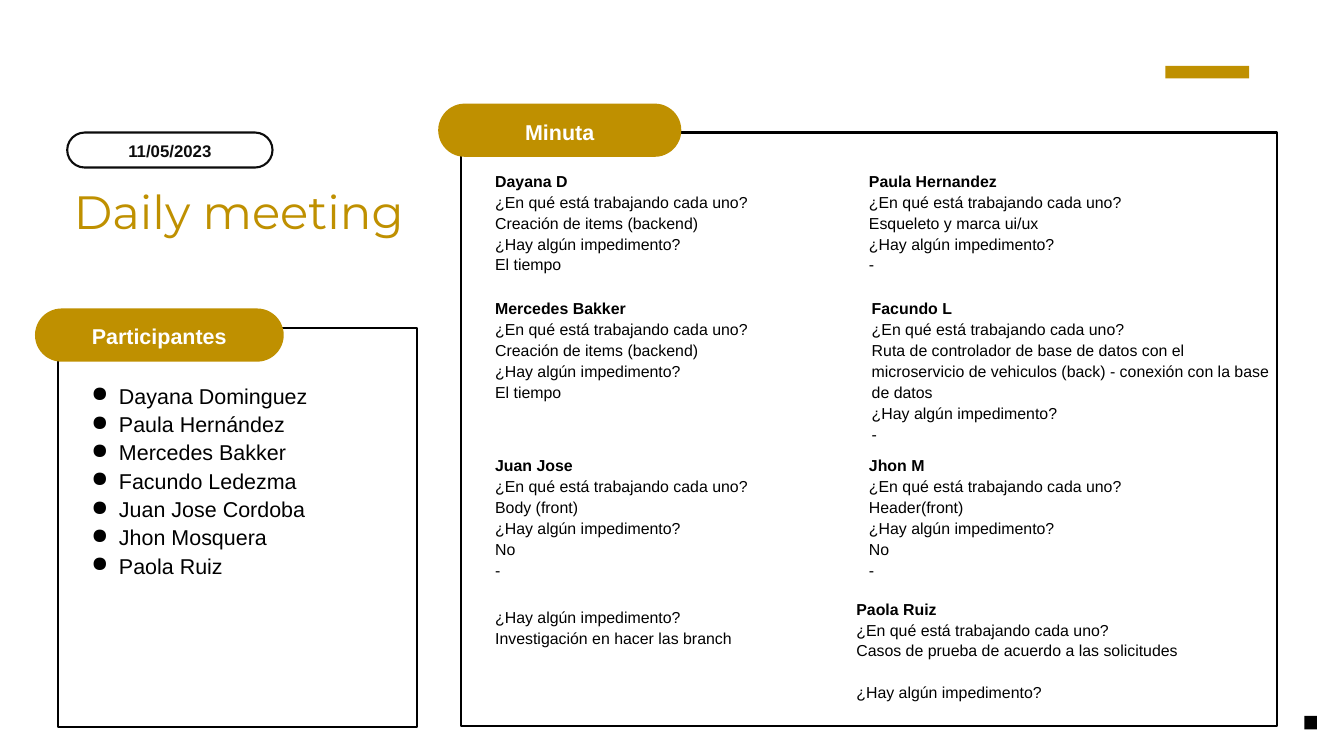
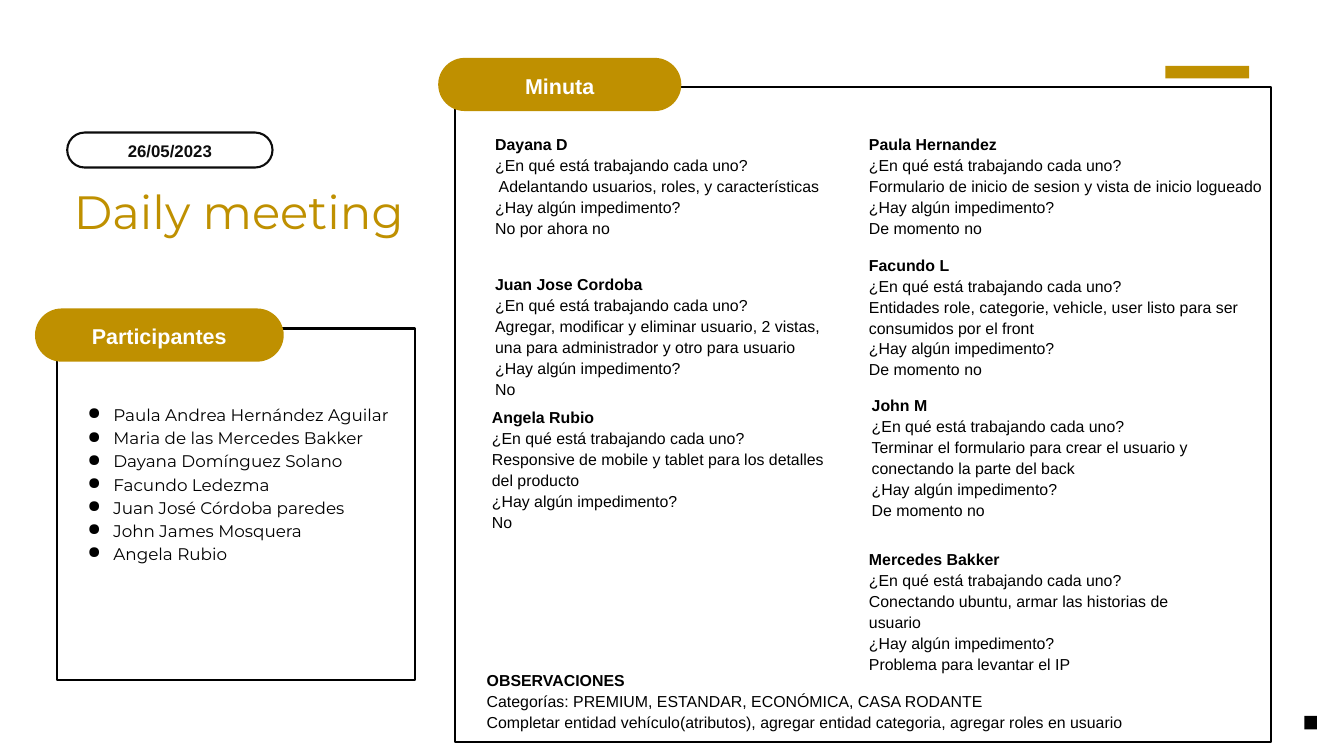
from dataclasses import dataclass

from lxml import etree
from pptx import Presentation
from pptx.dml.color import RGBColor
from pptx.enum.shapes import MSO_SHAPE
from pptx.enum.text import MSO_ANCHOR, MSO_AUTO_SIZE, PP_ALIGN
from pptx.oxml.ns import qn
from pptx.util import Pt

RECTANGLE = MSO_SHAPE.RECTANGLE
PILL = MSO_SHAPE.ROUNDED_RECTANGLE
MIDDLE = MSO_ANCHOR.MIDDLE
FIT_TEXT = MSO_AUTO_SIZE.SHAPE_TO_FIT_TEXT
FIXED_SIZE = MSO_AUTO_SIZE.NONE
CENTER = PP_ALIGN.CENTER
LEFT = PP_ALIGN.LEFT

WORKING_ON = "¿En qué está trabajando cada uno?"
BLOCKED_BY = "¿Hay algún impedimento?"
LEFT_COLUMN, RIGHT_COLUMN = 530.5, 931
NOTE_WIDTH, WIDE_NOTE = 378.5, 427.5


@dataclass(frozen=True)
class Theme:
    gold: RGBColor = RGBColor(0xBF, 0x90, 0x00)
    black: RGBColor = RGBColor(0, 0, 0)
    ink: RGBColor = RGBColor(0x0C, 0x0C, 0x0C)
    white: RGBColor = RGBColor(0xFF, 0xFF, 0xFF)
    body_font: str = "Arial"
    title_font: str = "Montserrat"
    title_size: float = 50
    heading_size: float = 23
    date_size: float = 18
    note_size: float = 17
    outline: float = 2.25
    spacing: float = 1.1
    note_line: float = 21.5


class MeetingDeck:
    def __init__(self, theme):
        self.theme = theme
        self.deck = Presentation()
        self.deck.slide_width, self.deck.slide_height = Pt(1440), Pt(810)
        self.slide = None

    def start_slide(self, date):
        theme = self.theme
        self.slide = self.deck.slides.add_slide(self.deck.slide_layouts[6])
        self.shape(RECTANGLE, (1397.5, 767, 13.5, 14.5), fill=theme.black)
        title = self.text((72, 196, 384, 60), ["Daily meeting"], theme.title_size,
                          theme.gold, theme.title_font, spacing=1.0, inset=7.2)
        title.auto_size = FIXED_SIZE
        title.vertical_anchor = MIDDLE
        self.pill((72, 142, 220, 37.5), date, theme.date_size,
                  theme.white, theme.ink, theme.ink)
        self.shape(RECTANGLE, (1248.5, 70.5, 90, 13.5), fill=theme.gold)

    def shape(self, kind, box, fill=None, line=None):
        shape = self.slide.shapes.add_shape(kind, *map(Pt, box))
        shape.shadow.inherit = False
        if fill is None:
            shape.fill.background()
        else:
            shape.fill.solid()
            shape.fill.fore_color.rgb = fill
        if line is None:
            shape.line.fill.background()
        else:
            shape.line.color.rgb = line
            shape.line.width = Pt(self.theme.outline)
        return shape

    def fill_frame(self, frame, lines, size, color, font, spacing, inset, align=LEFT):
        frame.word_wrap = True
        frame.margin_left = frame.margin_right = Pt(inset)
        frame.margin_top = frame.margin_bottom = Pt(inset)
        frame.text = "\n".join(lines)
        for paragraph in frame.paragraphs:
            paragraph.alignment = align
            paragraph.line_spacing = spacing
            for run in paragraph.runs:
                run.font.size = Pt(size)
                run.font.name = font
                run.font.color.rgb = color

    def text(self, box, lines, size, color, font, spacing, inset=0):
        frame = self.slide.shapes.add_textbox(*map(Pt, box)).text_frame
        self.fill_frame(frame, lines, size, color, font, spacing, inset)
        frame.auto_size = FIT_TEXT
        return frame

    def pill(self, box, label, size, fill, color, line=None):
        pill = self.shape(PILL, box, fill, line)
        pill.adjustments[0] = 0.5
        frame = pill.text_frame
        self.fill_frame(frame, [label], size, color, self.theme.body_font,
                        self.theme.spacing, 0, CENTER)
        frame.vertical_anchor = MIDDLE
        frame.paragraphs[0].runs[0].font.bold = True

    def panel(self, box, heading, heading_box):
        theme = self.theme
        self.shape(RECTANGLE, box, line=theme.black)
        self.pill(heading_box, heading, theme.heading_size, theme.gold, theme.white)

    def participants(self, panel_box, list_box, names, size, font, hanging, spacing):
        self.panel(panel_box, "Participantes", (37.5, 330.5, 266.5, 57))
        frame = self.text(list_box, names, size, self.theme.black, font, spacing)
        for paragraph in frame.paragraphs:
            properties = paragraph._p.get_or_add_pPr()
            properties.set("marL", str(Pt(36)))
            properties.set("indent", str(-Pt(hanging)))
            color = etree.SubElement(properties, qn("a:buClr"))
            etree.SubElement(color, qn("a:srgbClr"), val=str(self.theme.black))
            etree.SubElement(properties, qn("a:buChar"), char="●")

    def minutes(self, panel_box, heading_top):
        self.panel(panel_box, "Minuta", (469.5, heading_top, 260.5, 57))

    def note(self, left, top, width, lines, headed=True):
        theme = self.theme
        box = (left, top, width, theme.note_line * len(lines))
        frame = self.text(box, lines, theme.note_size, theme.black,
                          theme.body_font, theme.spacing)
        if headed:
            frame.paragraphs[0].runs[0].font.bold = True
        return frame

    def report(self, left, top, width, person, work, *obstacle):
        self.note(left, top, width, [person, WORKING_ON, *work.split("\n"),
                                     BLOCKED_BY, *obstacle])


def build_first_meeting(deck):
    theme = deck.theme
    deck.start_slide("11/05/2023")
    deck.participants(
        (62.5, 351.5, 384, 427), (91.5, 407.5, 335, 212),
        ["Dayana Dominguez", "Paula Hernández", "Mercedes Bakker", "Facundo Ledezma",
         "Juan Jose Cordoba", "Jhon Mosquera", "Paola Ruiz"],
        theme.heading_size, theme.body_font, 29.5, theme.spacing)
    deck.minutes((494, 142, 874, 636), 111)
    for report in (
        (LEFT_COLUMN, 181.5, NOTE_WIDTH, "Dayana D",
         "Creación de items (backend)", "El tiempo"),
        (RIGHT_COLUMN, 181.5, WIDE_NOTE, "Paula Hernandez",
         "Esqueleto y marca ui/ux", "-"),
        (LEFT_COLUMN, 318, NOTE_WIDTH, "Mercedes Bakker",
         "Creación de items (backend)", "El tiempo"),
        (RIGHT_COLUMN + 3, 318, WIDE_NOTE, "Facundo L",
         "Ruta de controlador de base de datos con el microservicio de vehiculos "
         "(back) - conexión con la base de datos", "-"),
        (LEFT_COLUMN, 486, NOTE_WIDTH, "Juan Jose", "Body (front)", "No", "-"),
        (RIGHT_COLUMN, 486, WIDE_NOTE, "Jhon M", "Header(front)", "No", "-"),
    ):
        deck.report(*report)
    deck.note(LEFT_COLUMN, 649, NOTE_WIDTH,
              [BLOCKED_BY, "Investigación en hacer las branch"], headed=False)
    tester = deck.note(917.5, 640, WIDE_NOTE,
                       ["Paola Ruiz", WORKING_ON,
                        "Casos de prueba de acuerdo a las solicitudes", BLOCKED_BY])
    tester.paragraphs[-1].space_before = Pt(theme.note_line)


def build_second_meeting(deck):
    theme = deck.theme
    deck.start_slide("26/05/2023")
    deck.participants(
        (61, 352, 384, 377), (85.5, 430.5, 335, 196.5),
        ["Paula Andrea Hernández Aguilar", "Maria de las Mercedes Bakker",
         "Dayana Domínguez Solano", "Facundo Ledezma", "Juan José Córdoba paredes",
         "John James Mosquera", "Angela Rubio"],
        theme.date_size, theme.title_font, 27.5, 1.15)
    deck.minutes((487.5, 93.5, 874, 702), 62)
    for report in (
        (LEFT_COLUMN, 142.5, 370, "Dayana D",
         " Adelantando usuarios, roles, y características", "No por ahora no"),
        (RIGHT_COLUMN, 142.5, 434, "Paula Hernandez",
         "Formulario de inicio de sesion y vista de inicio logueado", "De momento no"),
        (LEFT_COLUMN, 292.5, NOTE_WIDTH, "Juan Jose Cordoba",
         "Agregar, modificar y eliminar usuario, 2 vistas, una para administrador "
         "y otro para usuario", "No"),
        (RIGHT_COLUMN, 271.5, WIDE_NOTE, "Facundo L",
         "Entidades role, categorie, vehicle, user listo para ser\n"
         "consumidos por el front", "De momento no"),
        (LEFT_COLUMN - 3.5, 435, NOTE_WIDTH, "Angela Rubio",
         "Responsive de mobile y tablet para los detalles del producto", "No"),
        (RIGHT_COLUMN + 3, 422, 399.5, "John M",
         "Terminar el formulario para crear el usuario y conectando la parte del back",
         "De momento no"),
        (RIGHT_COLUMN, 587, NOTE_WIDTH, "Mercedes Bakker",
         "Conectando ubuntu, armar las historias de usuario",
         "Problema para levantar el IP"),
    ):
        deck.report(*report)
    deck.note(521.5, 716.5, 817,
              ["OBSERVACIONES", "Categorías: PREMIUM, ESTANDAR, ECONÓMICA, CASA RODANTE",
               "Completar entidad vehículo(atributos), agregar entidad categoria, "
               "agregar roles en usuario"])


def main():
    deck = MeetingDeck(Theme())
    build_first_meeting(deck)
    build_second_meeting(deck)
    deck.deck.save("out.pptx")


if __name__ == "__main__":
    main()
